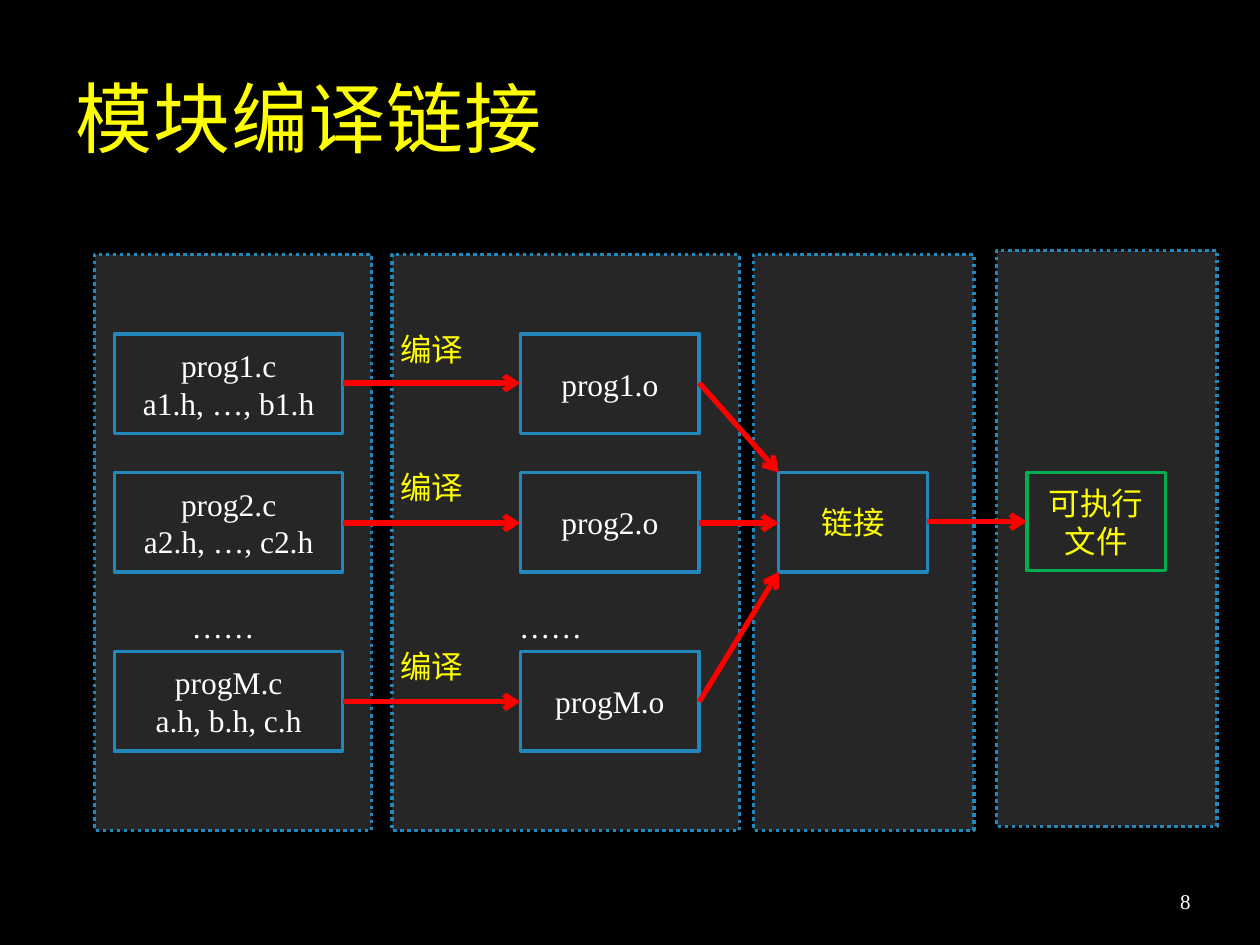
from dataclasses import dataclass

from lxml.etree import SubElement
from pptx import Presentation
from pptx.dml.color import RGBColor as Color
from pptx.enum.dml import MSO_LINE_DASH_STYLE as Dash
from pptx.enum.shapes import MSO_CONNECTOR as Link, MSO_SHAPE as Shape
from pptx.enum.text import MSO_ANCHOR as Anchor, PP_ALIGN as Align
from pptx.oxml.ns import qn
from pptx.util import Inches, Pt

CELL = 0.1
COLUMNS, ROWS = 100, 75
ROW_TOPS = (6.3, 17.3, 31.5)
BOX_HEIGHT = 7.9
PROGRAMS = (
    ("prog1", "a1.h, …, b1.h"),
    ("prog2", "a2.h, …, c2.h"),
    ("progM", "a.h, b.h, c.h"),
)


@dataclass(frozen=True)
class Theme:
    back: str = "000000"
    panel: str = "262626"
    edge: str = "2487BB"
    result: str = "00B050"
    arrow: str = "FF0000"
    accent: str = "FFFF00"
    text: str = "FFFFFF"
    title_font: str = "Calibri"
    body_font: str = "Times New Roman"
    title_size: int = 44
    body_size: int = 18
    small_size: int = 12
    edge_width: int = 2
    arrow_width: int = 3


THEME = Theme()


@dataclass(frozen=True)
class Box:
    left: float
    top: float
    width: float
    height: float

    def inner(self, left, top, width, height):
        return Box(self.left + left, self.top + top, width, height)

    def point(self, column, row):
        return self.left + column, self.top + row

    def lengths(self):
        return [cells(n) for n in (self.left, self.top, self.width, self.height)]


def cells(count):
    return Inches(round(count * CELL, 2))


def apply(target, formats):
    for name, value in formats.items():
        setattr(target, name, value)


def write(shape, lines, color, size=THEME.body_size, font=THEME.body_font,
          align=Align.CENTER):
    frame = shape.text_frame
    apply(frame, {"word_wrap": True, "vertical_anchor": Anchor.MIDDLE})
    spans = []
    for index, line in enumerate(lines):
        para = frame.paragraphs[0] if index == 0 else frame.add_paragraph()
        para.alignment = align
        span = para.add_run()
        span.text = line
        apply(span.font, {"name": font, "size": Pt(size)})
        span.font.color.rgb = Color.from_string(color)
        spans.append(span)
    return spans


def add_text(page, box, line, color, **formats):
    shape = page.shapes.add_textbox(*box.lengths())
    return shape, write(shape, [line], color, **formats)[0]


def add_frame(page, box, edge=THEME.edge):
    shape = page.shapes.add_shape(Shape.RECTANGLE, *box.lengths())
    shape.shadow.inherit = False
    shape.fill.background()
    shape.line.color.rgb = Color.from_string(edge)
    shape.line.width = Pt(THEME.edge_width)
    return shape


def add_panel(page, box):
    panel = add_frame(page, box)
    panel.fill.solid()
    panel.fill.fore_color.rgb = Color.from_string(THEME.panel)
    panel.line.dash_style = Dash.ROUND_DOT


def add_arrow(page, start, end):
    ends = [cells(n) for n in (*start, *end)]
    arrow = page.shapes.add_connector(Link.STRAIGHT, *ends)
    arrow.line.color.rgb = Color.from_string(THEME.arrow)
    arrow.line.width = Pt(THEME.arrow_width)
    SubElement(arrow.line._get_or_add_ln(), qn("a:tailEnd"), type="arrow")
    SubElement(arrow._element.spPr, qn("a:effectLst"))


def draw_title(page, box):
    span = add_text(page, box, "模块编译链接", THEME.accent, size=THEME.title_size,
                    font=THEME.title_font, align=Align.LEFT)[1]
    span._r.get_or_add_rPr().set("spc", "50")


def draw_number(page, box):
    shape = add_text(page, box, "8", THEME.text, size=THEME.small_size,
                     align=Align.RIGHT)[0]
    sides = ("left", "top", "right", "bottom")
    apply(shape.text_frame, {f"margin_{side}": Inches(0.05) for side in sides})


def draw_sources(page, box):
    add_panel(page, box)
    for top, (name, headers) in zip(ROW_TOPS, PROGRAMS):
        source = add_frame(page, box.inner(1.6, top, 18.1, BOX_HEIGHT))
        write(source, [f"{name}.c", headers], THEME.text)
    add_text(page, box.inner(3.1, 26.7, 14.2, 5.5), "……", THEME.text)


def draw_objects(page, box):
    add_panel(page, box)
    for top, (name, _) in zip(ROW_TOPS, PROGRAMS):
        target = add_frame(page, box.inner(10.2, top, 14.2, BOX_HEIGHT))
        write(target, [f"{name}.o"], THEME.text)
        middle = top + BOX_HEIGHT / 2
        add_arrow(page, box.point(-3.9, middle), box.point(10.2, middle))
        add_text(page, box.inner(-0.4, top - 1.6, 7.1, 5.5), "编译", THEME.accent)
    add_text(page, box.inner(5.5, 26.7, 14.2, 5.5), "……", THEME.text)


def draw_linker(page, box):
    add_panel(page, box)
    linker = box.inner(2, ROW_TOPS[1], 11.8, BOX_HEIGHT)
    write(add_frame(page, linker), ["链接"], THEME.accent)
    for index, top in enumerate(ROW_TOPS):
        add_arrow(page, box.point(-4.3, top + BOX_HEIGHT / 2),
                  linker.point(0, index * BOX_HEIGHT / 2))


def draw_result(page, box):
    add_panel(page, box)
    result = box.inner(2.4, 17.6, 11, 7.8)
    write(add_frame(page, result, THEME.result), ["可执行文件"], THEME.accent)
    middle = result.height / 2
    add_arrow(page, result.point(-7.9, middle), result.point(0, middle))


def main():
    deck = Presentation()
    apply(deck, {"slide_width": cells(COLUMNS), "slide_height": cells(ROWS)})
    page = deck.slides.add_slide(deck.slide_layouts[6])
    page.background.fill.solid()
    page.background.fill.fore_color.rgb = Color.from_string(THEME.back)
    regions = (
        (draw_title, Box(5, 3, 85, 12.5)),
        (draw_sources, Box(7.5, 20.2, 22, 45.7)),
        (draw_objects, Box(31.1, 20.2, 27.6, 45.7)),
        (draw_linker, Box(59.8, 20.2, 17.5, 45.7)),
        (draw_result, Box(79.1, 19.9, 17.5, 45.7)),
        (draw_number, Box(71.7, 69.5, 23.3, 4)),
    )
    for draw, box in regions:
        draw(page, box)
    deck.save("out.pptx")


if __name__ == "__main__":
    main()
